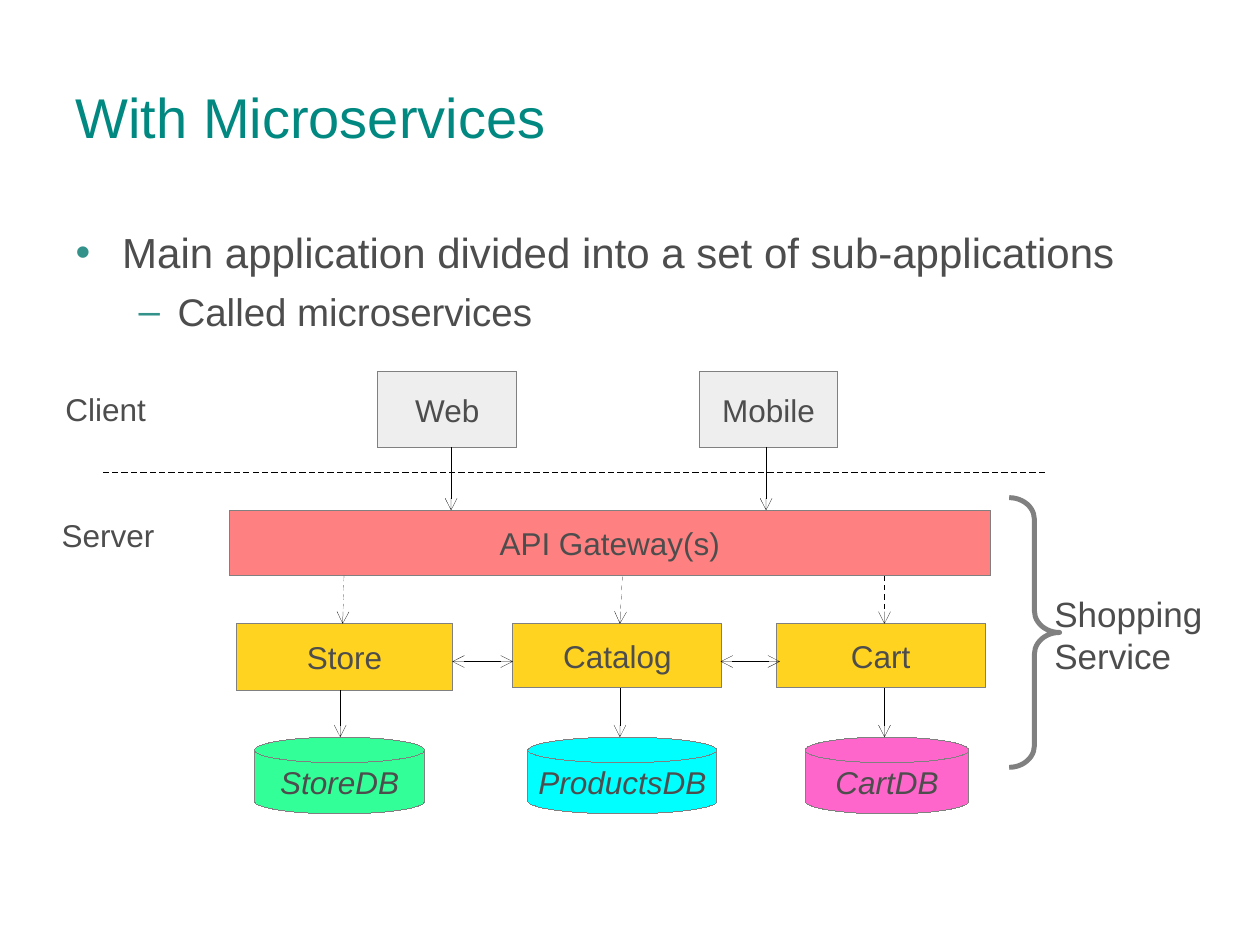
from dataclasses import dataclass

from lxml.etree import SubElement
from pptx import Presentation
from pptx.dml.color import RGBColor
from pptx.enum.dml import MSO_LINE
from pptx.enum.shapes import MSO_CONNECTOR as Connector, MSO_SHAPE as Preset
from pptx.enum.text import MSO_ANCHOR as Anchor, MSO_AUTO_SIZE as AutoSize, PP_ALIGN as Align
from pptx.oxml.ns import qn
from pptx.util import Inches, Pt


@dataclass(frozen=True)
class Theme:
    font: str = "Arial"
    title: str = "008881"
    text: str = "4D4D4D"
    bullet: str = "33928A"
    outline: str = "808080"
    arrow: str = "000000"
    client: str = "EEEEEE"
    gateway: str = "FF8080"
    service: str = "FFD320"
    store: str = "33FF99"
    products: str = "00FFFF"
    cart: str = "FF66CC"
    title_size: float = 32
    body_size: float = 24
    sub_size: float = 22
    group_size: float = 20
    label_size: float = 18
    hairline: float = 0
    brace_width: float = 2.83


@dataclass(frozen=True)
class Node:
    text: str
    left: float
    top: float
    width: float
    height: float
    fill: str
    preset: Preset = Preset.RECTANGLE
    italic: bool = False


@dataclass(frozen=True)
class Link:
    start: tuple[float, float]
    end: tuple[float, float]
    ends: tuple[str, ...] = ("tailEnd",)
    dashed: bool = False


@dataclass(frozen=True)
class Label:
    lines: tuple[str, ...]
    left: float
    top: float
    width: float
    height: float
    size: float


@dataclass(frozen=True)
class Bullet:
    text: str
    level: int
    mark: str
    margin: float
    hanging: float
    size: float
    space_before: float


THEME = Theme()
DISK = Preset.FLOWCHART_MAGNETIC_DISK
SERVICE_TOP, DATABASE_TOP = 4.95, 5.85
GATEWAY_TOP, GATEWAY_BOTTOM = 4.05, 4.57
CLIENT_TOP, CLIENT_BOTTOM = 2.95, 3.55

NODES = (
    Node("Web", 3, CLIENT_TOP, 1.1, 0.6, THEME.client),
    Node("Mobile", 5.55, CLIENT_TOP, 1.1, 0.6, THEME.client),
    Node("API Gateway(s)", 1.82, GATEWAY_TOP, 6.04, 0.52, THEME.gateway),
    Node("Store", 1.88, SERVICE_TOP, 1.71, 0.53, THEME.service),
    Node("Catalog", 4.07, SERVICE_TOP, 1.66, 0.51, THEME.service),
    Node("Cart", 6.16, SERVICE_TOP, 1.66, 0.51, THEME.service),
    Node("StoreDB", 2.02, DATABASE_TOP, 1.35, 0.61, THEME.store, DISK, True),
    Node("ProductsDB", 4.19, DATABASE_TOP, 1.5, 0.61, THEME.products, DISK, True),
    Node("CartDB", 6.39, DATABASE_TOP, 1.3, 0.61, THEME.cart, DISK, True),
)
LINKS = (
    *(Link((x, CLIENT_BOTTOM), (x, GATEWAY_TOP)) for x in (3.58, 6.08)),
    *(Link((start, GATEWAY_BOTTOM), (end, SERVICE_TOP), dashed=True)
      for start, end in ((2.73, 2.72), (4.94, 4.92), (7.02, 7.02))),
    *(Link((x, bottom), (x, DATABASE_TOP))
      for x, bottom in ((2.7, 5.48), (4.92, 5.46), (7.02, 5.46))),
    *(Link((start, 5.25), (end, 5.25), ("headEnd", "tailEnd"))
      for start, end in ((3.59, 4.07), (5.72, 6.19))),
    Link((0.82, 3.75), (8.32, 3.75), (), True),
)
LABELS = (
    Label(("Client",), 0.42, 3.05, 0.95, 0.4, THEME.label_size),
    Label(("Server",), 0.39, 4.05, 1.05, 0.4, THEME.label_size),
    Label(("Shopping", "Service"), 8.27, 4.65, 1.5, 0.77, THEME.group_size),
)
BULLETS = (
    Bullet("Main application divided into a set of sub-applications",
           0, "•", 0.37, 0.37, THEME.body_size, 0),
    Bullet("Called microservices", 1, "–", 0.81, 0.31, THEME.sub_size, 6),
)


def color(value: str) -> RGBColor:
    return RGBColor.from_string(value)


def style_text(paragraph, size: float, tint: str = THEME.text, italic: bool = False) -> None:
    font = paragraph.font
    font.name, font.size, font.italic = THEME.font, Pt(size), italic
    font.color.rgb = color(tint)


def place(shape, left: float, top: float, width: float, height: float) -> None:
    shape.left, shape.top = Inches(left), Inches(top)
    shape.width, shape.height = Inches(width), Inches(height)


def style_line(line, tint: str, width: float) -> None:
    line.color.rgb = color(tint)
    line._get_or_add_ln().set("w", str(Pt(width)))


def fill_title(title) -> None:
    place(title, 0.5, 0.3, 9, 1.25)
    title.text_frame.text = "With Microservices"
    title.text_frame.vertical_anchor = Anchor.MIDDLE
    paragraph = title.text_frame.paragraphs[0]
    paragraph.alignment = Align.LEFT
    style_text(paragraph, THEME.title_size, THEME.title)


def fill_body(body, bullets: tuple[Bullet, ...]) -> None:
    place(body, 0.5, 1.75, 9, 4.45)
    frame = body.text_frame
    frame.auto_size = AutoSize.NONE
    frame.text = "\n".join(bullet.text for bullet in bullets)
    for paragraph, bullet in zip(frame.paragraphs, bullets):
        paragraph.level = bullet.level
        paragraph.space_before = Pt(bullet.space_before)
        properties = paragraph._p.get_or_add_pPr()
        properties.set("marL", str(Inches(bullet.margin)))
        properties.set("indent", str(-Inches(bullet.hanging)))
        tint = SubElement(properties, qn("a:buClr"))
        SubElement(tint, qn("a:srgbClr"), val=THEME.bullet)
        SubElement(properties, qn("a:buChar"), char=bullet.mark)
        style_text(paragraph, bullet.size)


def draw_node(slide, node: Node) -> None:
    shape = slide.shapes.add_shape(
        node.preset, *map(Inches, (node.left, node.top, node.width, node.height)))
    shape.shadow.inherit = False
    shape.fill.solid()
    shape.fill.fore_color.rgb = color(node.fill)
    style_line(shape.line, THEME.outline, THEME.hairline)
    frame = shape.text_frame
    frame.text = node.text
    frame.word_wrap = False
    frame.vertical_anchor = Anchor.MIDDLE
    frame.paragraphs[0].alignment = Align.CENTER
    style_text(frame.paragraphs[0], THEME.label_size, italic=node.italic)


def draw_link(slide, link: Link) -> None:
    connector = slide.shapes.add_connector(
        Connector.STRAIGHT, *map(Inches, (*link.start, *link.end)))
    style_line(connector.line, THEME.arrow, THEME.hairline)
    if link.dashed:
        connector.line.dash_style = MSO_LINE.DASH
    for end in link.ends:
        SubElement(connector.line._get_or_add_ln(), qn(f"a:{end}"), type="arrow")
    SubElement(connector._element.spPr, qn("a:effectLst"))


def draw_label(slide, label: Label) -> None:
    box = slide.shapes.add_textbox(
        *map(Inches, (label.left, label.top, label.width, label.height)))
    frame = box.text_frame
    frame.word_wrap = True
    frame.text = "\n".join(label.lines)
    for paragraph in frame.paragraphs:
        style_text(paragraph, label.size)


def draw_brace(slide) -> None:
    brace = slide.shapes.add_shape(Preset.RIGHT_BRACE, *map(Inches, (8.01, 3.95, 0.4, 2.14)))
    brace.shadow.inherit = False
    brace.adjustments[0] = 0.43
    brace.fill.background()
    style_line(brace.line, THEME.outline, THEME.brace_width)


def main() -> None:
    presentation = Presentation()
    presentation.slide_width, presentation.slide_height = Inches(10), Inches(7.5)
    slide = presentation.slides.add_slide(presentation.slide_layouts[1])
    fill_title(slide.shapes.title)
    fill_body(slide.placeholders[1], BULLETS)
    for node in NODES:
        draw_node(slide, node)
    for link in LINKS:
        draw_link(slide, link)
    draw_brace(slide)
    for label in LABELS:
        draw_label(slide, label)
    presentation.save("out.pptx")


if __name__ == "__main__":
    main()
